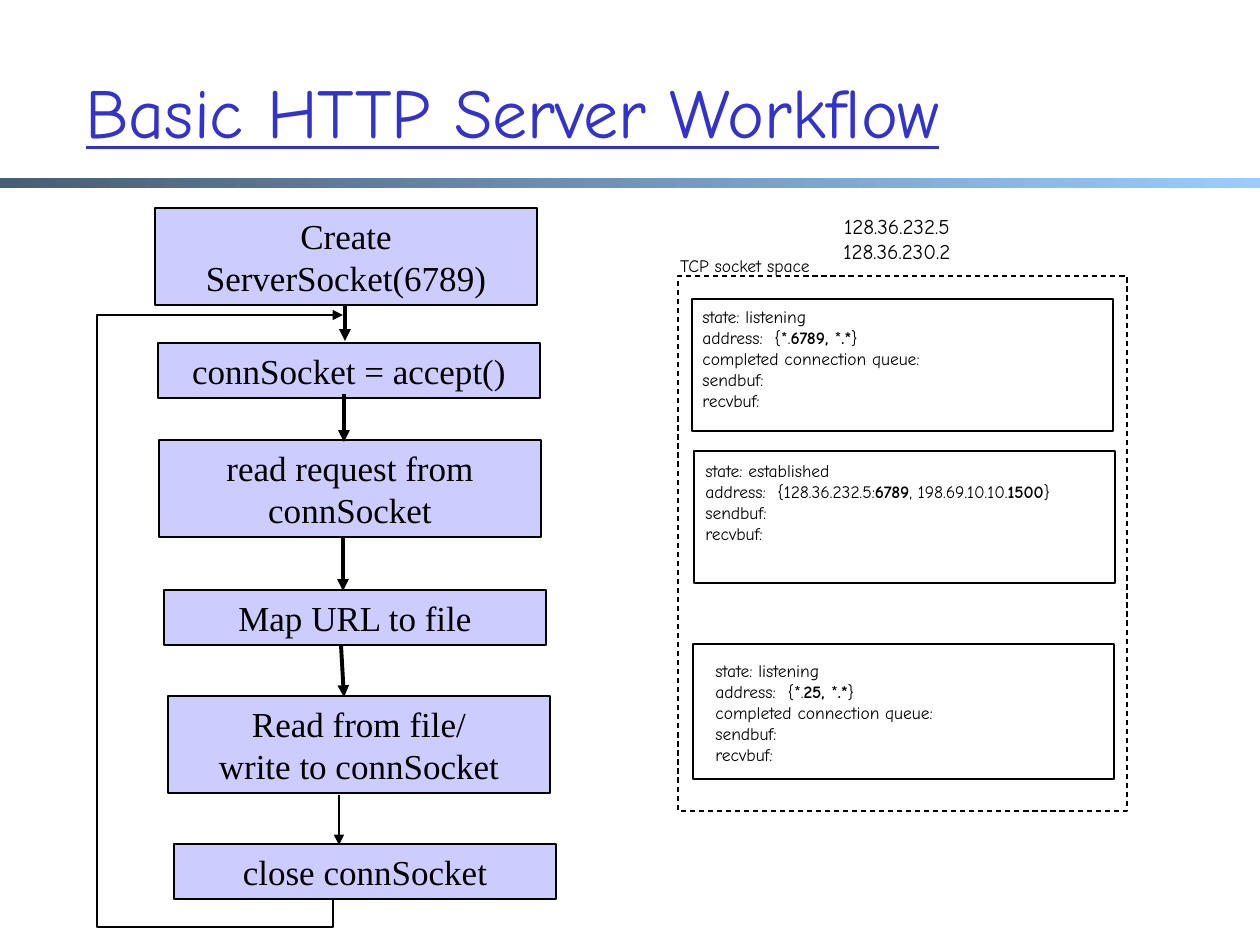
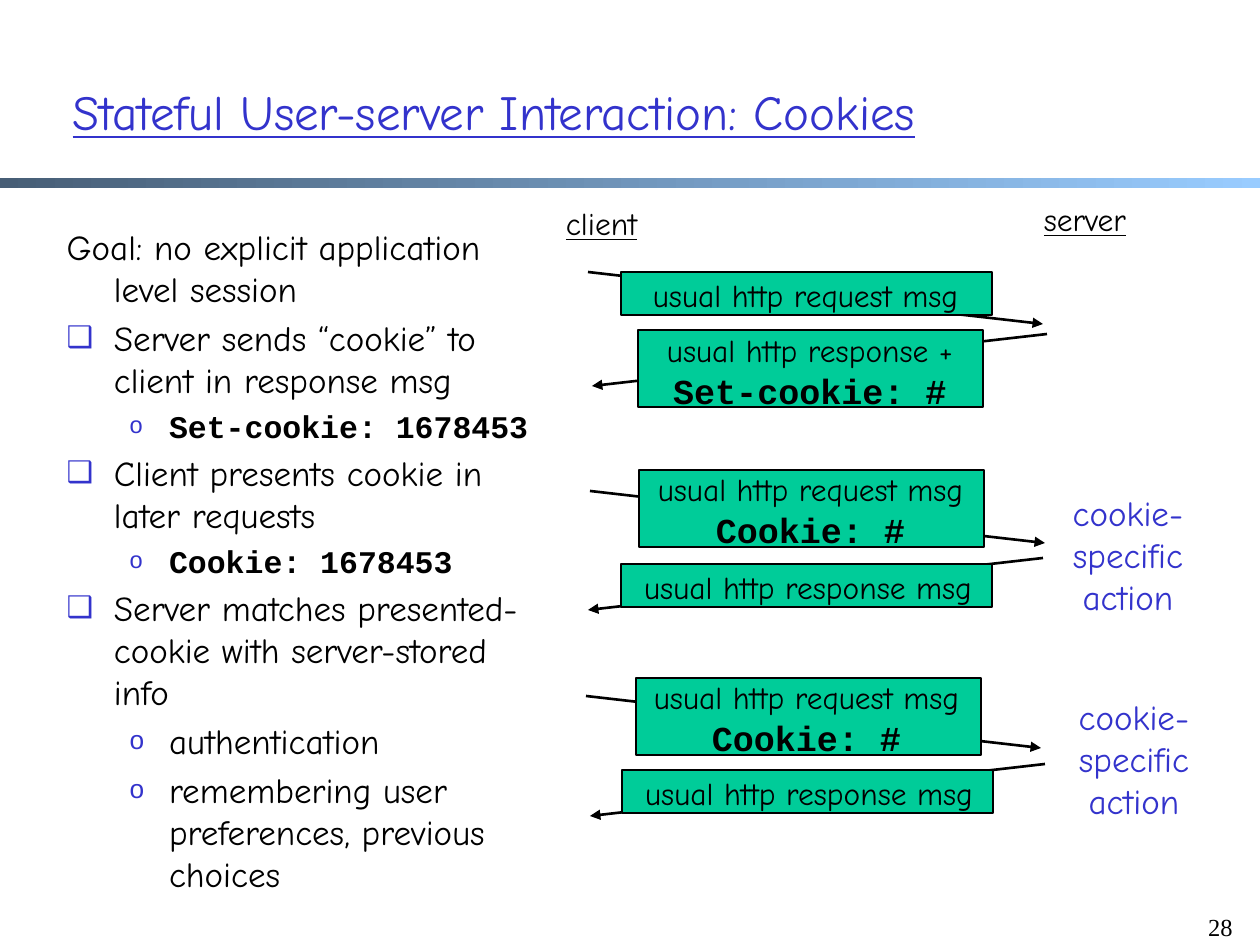
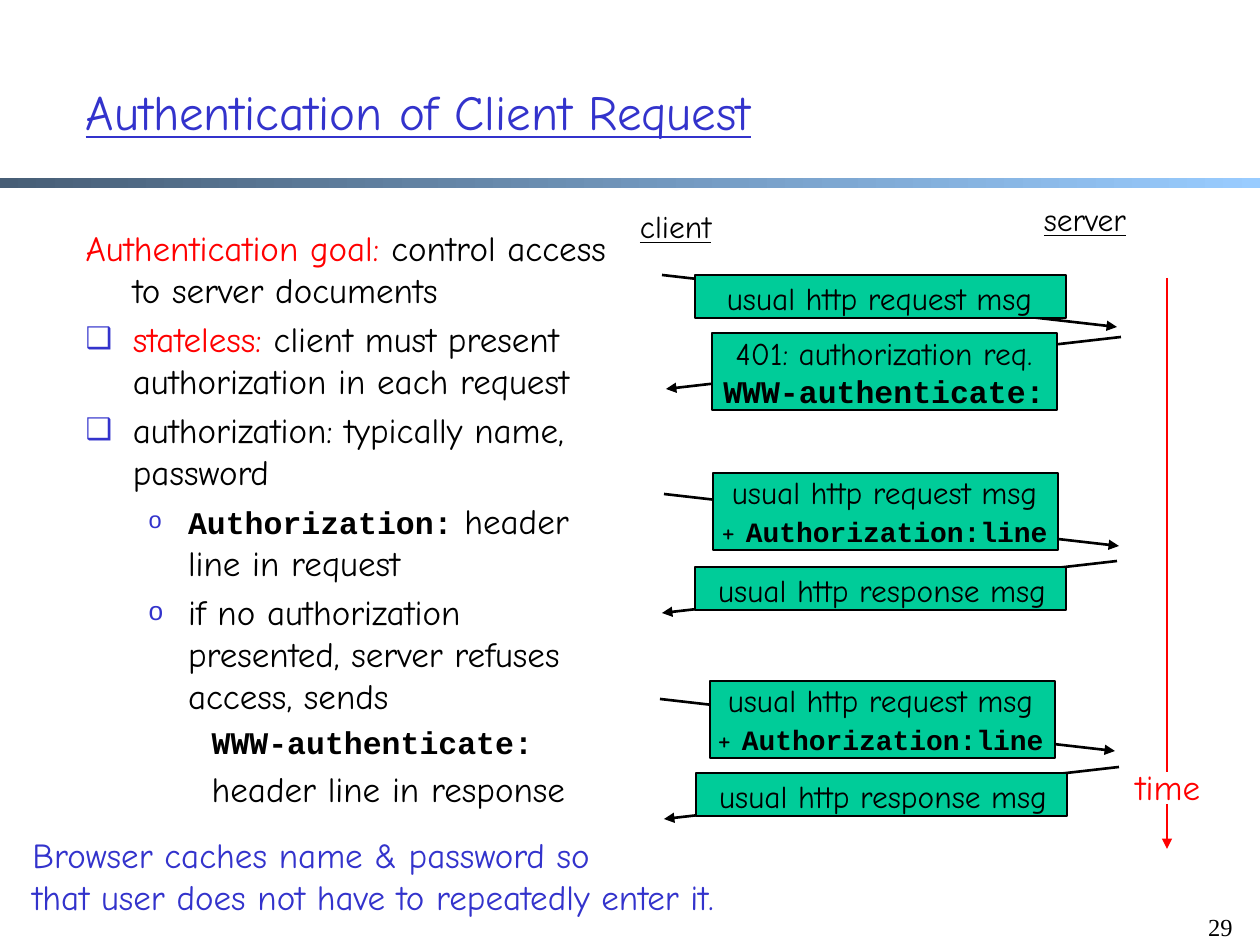
from lxml.etree import SubElement
from pptx import Presentation
from pptx.dml.color import RGBColor
from pptx.enum.dml import MSO_LINE
from pptx.enum.shapes import MSO_CONNECTOR, MSO_SHAPE
from pptx.enum.text import MSO_ANCHOR, MSO_AUTO_SIZE, PP_ALIGN
from pptx.oxml.ns import qn
from pptx.util import Pt

PX = 914400 / 126  # EMU per px

BLACK = RGBColor(0x00, 0x00, 0x00)
WHITE = RGBColor(0xFF, 0xFF, 0xFF)
RED = RGBColor(0xFF, 0x00, 0x00)
BLUE = RGBColor(0x33, 0x33, 0xCC)
LILAC = RGBColor(0xCC, 0xCC, 0xFF)
GREEN = RGBColor(0x00, 0xCC, 0x99)
BAND_DARK = RGBColor(0x47, 0x5E, 0x76)
BAND_LIGHT = RGBColor(0x99, 0xCC, 0xFF)

LEFT, CENTER, RIGHT = PP_ALIGN.LEFT, PP_ALIGN.CENTER, PP_ALIGN.RIGHT

# Run styles: font, size, bold, underline, colour
COMIC, COURIER, TIMES = "Comic Neue", "Courier New", "Times New Roman"
TITLE_BIG = (COMIC, 40, False, True, BLUE)
TITLE = (COMIC, 28, False, True, BLUE)
BODY = (COMIC, 20, False, False, BLACK)
BODY_RED = (COMIC, 20, False, False, RED)
BODY_BLUE = (COMIC, 20, False, False, BLUE)
MSG = (COMIC, 18, False, False, BLACK)
HEAD = (COMIC, 18, False, True, BLACK)
CODE20 = (COURIER, 20, True, False, BLACK)
CODE18 = (COURIER, 18, True, False, BLACK)
CODE16 = (COURIER, 16, True, False, BLACK)
FLOW = (TIMES, 20, False, False, BLACK)
PAGE = (TIMES, 14, False, False, BLACK)
ADDRESS = (COMIC, 12, False, False, BLACK)
STATE = (COMIC, 10, False, False, BLACK)
STATE_BOLD = (COMIC, 10, True, False, BLACK)


def put(s, box, paras=(), sp=None, fill=None, line=None, align=CENTER,
        anchor=MSO_ANCHOR.TOP, wrap=True):
    """Place a placeholder, rectangle or text box; paras are lists of (text, style)."""
    x, y, w, h = [round(v * PX) for v in box]
    grow = MSO_AUTO_SIZE.NONE if sp else MSO_AUTO_SIZE.SHAPE_TO_FIT_TEXT
    if sp:
        sp.left, sp.top, sp.width, sp.height = x, y, w, h
    elif fill or line:
        sp = s.shapes.add_shape(MSO_SHAPE.RECTANGLE, x, y, w, h)
        sp.shadow.inherit = False
        sp.fill.background()
        sp.line.fill.background()
    else:
        sp = s.shapes.add_textbox(x, y, w, h)
    if fill:
        sp.fill.solid()
        sp.fill.fore_color.rgb = fill
    if line:
        sp.line.color.rgb = line
        sp.line.width = Pt(0.75)
    if not paras:
        return sp
    tf = sp.text_frame
    tf.word_wrap, tf.auto_size, tf.vertical_anchor = wrap, grow, anchor
    for i, runs in enumerate(paras):
        p = tf.add_paragraph() if i else tf.paragraphs[0]
        p.alignment = align
        if i == 0:
            p.space_before = Pt(0)
        for text, (name, size, bold, underline, color) in runs:
            r = p.add_run()
            r.text = text
            r.font.name, r.font.size = name, Pt(size)
            r.font.bold, r.font.underline = bold, underline
            r.font.color.rgb = color
    return sp


def arrow(s, points, width, color=BLACK):
    """Draw a straight or bent line with an arrowhead at its last point."""
    if len(points) == 2:
        ends = [round(v * PX) for point in points for v in point]
        sp = s.shapes.add_connector(MSO_CONNECTOR.STRAIGHT, *ends)
    else:
        fb = s.shapes.build_freeform(*points[0], scale=PX)
        fb.add_line_segments(points[1:], close=False)
        sp = fb.convert_to_shape()
        sp.fill.background()
    sp.line.color.rgb = color
    sp.line.width = Pt(width)
    spPr = sp.element.spPr
    SubElement(spPr.find(qn("a:ln")), qn("a:tailEnd"), type="triangle")
    SubElement(spPr, qn("a:effectLst"))


prs = Presentation()
prs.slide_width, prs.slide_height = round(1260 * PX), round(945 * PX)

# Slides and their titles
for layout, x, title, style in [
    (5, 73, "Basic HTTP Server Workflow", TITLE_BIG),
    (1, 60, "Stateful User-server Interaction: Cookies", TITLE),
    (1, 73, "Authentication of Client Request", TITLE),
]:
    s = prs.slides.add_slide(prs.slide_layouts[layout])
    put(s, (x, 32, 1071, 158), [[(title, style)]], sp=s.shapes.title,
        align=LEFT, anchor=MSO_ANCHOR.MIDDLE)
workflow, cookies, auth = prs.slides

# Gradient band, moved to the slide master
band = put(workflow, (0, 178, 1260, 10), fill=BAND_DARK)
band.fill.gradient()
band.fill.gradient_angle = 0
for stop, color in zip(band.fill.gradient_stops, (BAND_DARK, BAND_LIGHT)):
    stop.color.rgb = color
prs.slide_master.element.cSld.spTree.append(band.element)

# Slide 1: server steps
s = workflow
for x, y, lines in [
    (155, 208, ["Create ServerSocket(6789)"]),
    (158, 343, ["connSocket = accept()"]),
    (159, 440, ["read request from connSocket"]),
    (164, 590, ["Map URL to file"]),
    (168, 696, ["Read from file/", "write to connSocket"]),
    (174, 844, ["close connSocket"]),
]:
    h = 97 if len(" ".join(lines)) > 22 else 55
    put(s, (x, y, 382, h), [[(t, FLOW)] for t in lines], fill=LILAC, line=BLACK,
        anchor=MSO_ANCHOR.MIDDLE)

# Slide 1: arrows between the steps and the loop back
for x1, y1, x2, y2, width in [
    (345, 305, 345, 341, 2.25),
    (344, 394, 344, 442, 2.25),
    (343, 537, 343, 591, 2.25),
    (341, 645, 344, 697, 2.25),
    (339, 795, 339, 845, 1.5),
]:
    arrow(s, [(x1, y1), (x2, y2)], width)
arrow(s, [(333, 900), (333, 927), (97, 927), (97, 315), (343, 315)], 0.75)

# Slide 1: socket space
space = put(s, (678, 276, 449, 535), line=BLACK)
space.line.dash_style = MSO_LINE.DASH
put(s, (662, 249, 166, 34), [[("TCP socket space", STATE)]], wrap=False)
put(s, (820, 207, 154, 63), [[(t, ADDRESS)] for t in ("128.36.232.5", "128.36.230.2")],
    wrap=False)
QUEUE = ["completed connection queue:"]
for frame, text_box, state, address, queue in [
    ((692, 299, 421, 132), (690, 300, 263, 117), "listening",
     ["*.", "6789, ", "*", ".*", "}"], QUEUE),
    ((694, 451, 421, 132), (693, 454, 431, 97), "established",
     ["128.36.232.5:", "6789", ", 198.69.10.10.", "1500", "}"], []),
    ((693, 644, 421, 135), (703, 654, 258, 117), "listening",
     ["*.", "25, ", "*", ".*", "}"], QUEUE),
]:
    put(s, frame, line=BLACK)
    # every second piece of the address is bold
    runs = [(t, STATE_BOLD if i % 2 else STATE) for i, t in enumerate(address)]
    paras = [[("state: " + state, STATE)], [("address:  {", STATE)] + runs]
    paras += [[(t, STATE)] for t in queue + ["sendbuf:", "recvbuf:"]]
    put(s, text_box, paras, align=LEFT, wrap=False)

# Slides 2 and 3: lists, as (bullet, level, runs)
SQUARE, RING = ("❑", 85000), ("o", 75000)
COOKIE_LIST = [
    (None, 0, [("Goal: no explicit application level session", BODY)]),
    (SQUARE, 0, [("Server sends “cookie” to client in response msg", BODY)]),
    (RING, 1, [("Set-cookie: 1678453", CODE18)]),
    (SQUARE, 0, [("Client presents cookie in later requests", BODY)]),
    (RING, 1, [("Cookie: 1678453", CODE18)]),
    (SQUARE, 0, [("Server matches presented-cookie with server-stored info", BODY)]),
    (RING, 1, [("authentication", BODY)]),
    (RING, 1, [("remembering user preferences, previous choices", BODY)]),
]
AUTH_LIST = [
    (None, 0, [("Authentication goal:", BODY_RED),
               (" control access to server documents", BODY)]),
    (SQUARE, 0, [("stateless:", BODY_RED),
                 (" client must present authorization in each request", BODY)]),
    (SQUARE, 0, [("authorization: typically name, password", BODY)]),
    (RING, 1, [("Authorization:", CODE18), (" header line in request", BODY)]),
    (RING, 1, [("if no authorization presented, server refuses access, sends", BODY)]),
    (None, 2, [("WWW-authenticate:", CODE18)]),
    (None, 2, [("header line in response", BODY)]),
]
for s, box, items in [
    (cookies, (54, 219, 496, 593), COOKIE_LIST),
    (auth, (73, 220, 563, 593), AUTH_LIST),
]:
    sp = put(s, box, [runs for _, _, runs in items], sp=s.placeholders[1], align=LEFT)
    for p, (bullet, level, _) in zip(sp.text_frame.paragraphs, items):
        p.level = level
        pPr = p._p.get_or_add_pPr()
        if bullet:
            char, size = bullet
            SubElement(SubElement(pPr, qn("a:buClr")), qn("a:srgbClr"), val=str(BLUE))
            SubElement(pPr, qn("a:buSzPct"), val=str(size))
            SubElement(pPr, qn("a:buChar"), char=char)
        else:
            SubElement(pPr, qn("a:buNone"))

# Slides 2 and 3: message exchange, as arrow start, direction, frame, text box
EXCHANGE = [
    (588, 272, 1, (621, 272, 371, 43), (621, 270, 369, 50)),
    (1047, 334, -1, (638, 330, 345, 77), (628, 325, 364, 92)),
    (590, 491, 1, (639, 470, 345, 77), (626, 464, 369, 92)),
    (1043, 558, -1, (621, 564, 371, 43), (617, 562, 382, 50)),
    (586, 696, 1, (636, 678, 345, 77), (622, 672, 369, 92)),
    (1045, 764, -1, (622, 770, 371, 43), (618, 768, 382, 50)),
]
REQUEST = [("usual http request msg", MSG)]
RESPONSE = [("usual http response msg", MSG)]
WITH_COOKIE = [REQUEST, [("Cookie: #", CODE20)]]
WITH_AUTH = [REQUEST, [("+ ", MSG), ("Authorization:line", CODE16)]]
SET_COOKIE = [[("usual http response +", MSG)], [("Set-cookie: #", CODE20)]]
REFUSED = [[("401: authorization req.", MSG)], [("WWW-authenticate:", CODE18)]]

for s, dx, dy, second, repeat, number in [
    (cookies, 0, 0, SET_COOKIE, WITH_COOKIE, "28"),
    (auth, 74, 3, REFUSED, WITH_AUTH, "29"),
]:
    put(s, (1182, 906, 63, 63), [[(number, PAGE)]], align=RIGHT)
    put(s, (534 + dx, 198 + dy, 135, 63), [[("client", HEAD)]], wrap=False)
    put(s, (1009, 194, 152, 63), [[("server", HEAD)]], wrap=False)
    messages = [[REQUEST], second, repeat, [RESPONSE], repeat, [RESPONSE]]
    for (x, y, way, frame, text_box), paras in zip(EXCHANGE, messages):
        x, y = x + dx, y + dy
        arrow(s, [(x, y), (x + way * 455, y + 52)], 1.5)
        for (left, top, w, h), fill, content in [
            (frame, GREEN, ()), (text_box, None, paras),
        ]:
            put(s, (left + dx, top + dy, w, h), content, fill=fill,
                line=BLACK if fill else None)

# Slide 2: server actions
for x, y in [(1051, 485), (1057, 689)]:
    put(cookies, (x, y, 154, 139),
        [[(t, BODY_BLUE)] for t in ("cookie-", "specific", "action")], wrap=False)

# Slide 3: time axis and closing note
arrow(auth, [(1167, 278), (1167, 849)], 1.5, RED)
put(auth, (1130, 772, 78, 32), fill=WHITE)
put(auth, (1119, 759, 98, 54), [[("time", BODY_RED)]], wrap=False)
put(auth, (20, 827, 790, 97),
    [[("Browser caches name & password so", BODY_BLUE)],
     [("that user does not have to repeatedly enter it.", BODY_BLUE)]],
    align=LEFT, wrap=False)

prs.save("out.pptx")
